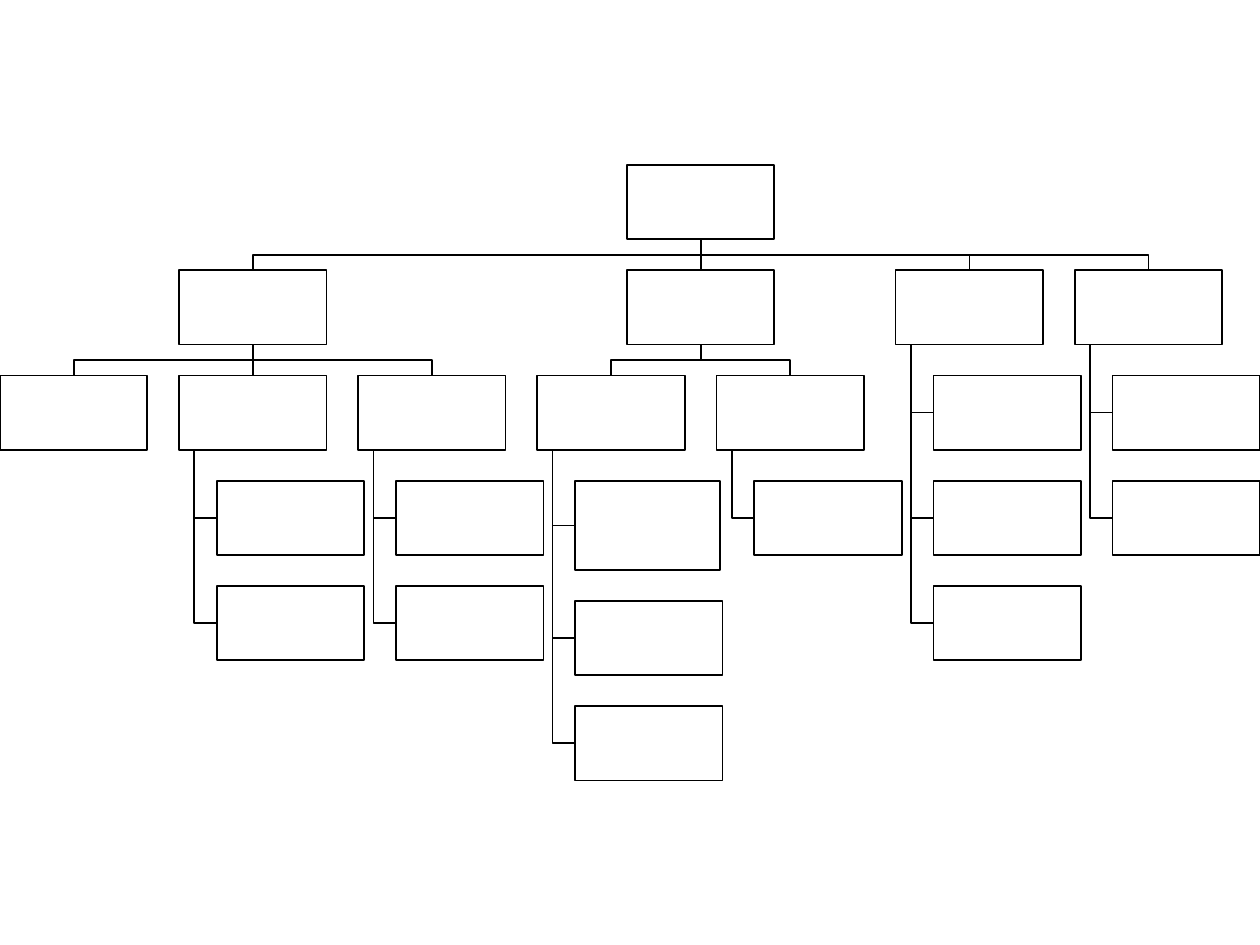
from dataclasses import dataclass

from lxml.etree import SubElement
from pptx import Presentation
from pptx.dml.color import RGBColor
from pptx.enum.shapes import MSO_CONNECTOR, MSO_SHAPE
from pptx.oxml.ns import qn
from pptx.util import Inches, Pt


@dataclass(frozen=True)
class Theme:
    fill: RGBColor = RGBColor(0xFF, 0xFF, 0xFF)
    line: RGBColor = RGBColor(0, 0, 0)
    line_width: Pt = Pt(1)


THEME = Theme()

# Content: a fork spreads its children in a row, a stack hangs boxes below
NORMAL = (1.17, 0.59)
TALL = (1.15, 0.71)


def fork(*children):
    return {"fork": children, "stack": ()}


def stack(*sizes):
    return {"fork": (), "stack": sizes}


CHART = fork(
    fork(stack(), stack(NORMAL, NORMAL), stack(NORMAL, NORMAL)),
    fork(stack(TALL, NORMAL, NORMAL), stack(NORMAL)),
    stack(NORMAL, NORMAL, NORMAL),
    stack(NORMAL, NORMAL),
)

# Grid
SLIDE_WIDTH, SLIDE_HEIGHT = 10, 7.5
COLUMNS = 7
BOX_WIDTH, BOX_HEIGHT = NORMAL
INDENT = 0.3
SPINE = 0.12
COLUMN_STEP = (SLIDE_WIDTH - BOX_WIDTH - INDENT) / (COLUMNS - 1)
FIRST_ROW, LAST_ROW = 1.31, 4.65
ROW_STEP = (LAST_ROW - FIRST_ROW) / 4
GAP = ROW_STEP - BOX_HEIGHT


def set_line(shape):
    shape.line.color.rgb = THEME.line
    shape.line.width = THEME.line_width


def add_box(page, left, top, size=NORMAL):
    box = page.shapes.add_shape(
        MSO_SHAPE.RECTANGLE, *(Inches(value) for value in (left, top, *size)))
    box.shadow.inherit = False
    box.fill.solid()
    box.fill.fore_color.rgb = THEME.fill
    set_line(box)
    return box


def add_elbow(page, *points):
    start, *rest = [(Inches(x), Inches(y)) for x, y in points]
    builder = page.shapes.build_freeform(*start)
    builder.add_line_segments(rest, close=False)
    elbow = builder.convert_to_shape()
    elbow.shadow.inherit = False
    elbow.fill.background()
    set_line(elbow)


def add_straight(page, upper, lower):
    link = page.shapes.add_connector(MSO_CONNECTOR.STRAIGHT, 0, 0, 0, 0)
    link.begin_connect(upper, 2)
    link.end_connect(lower, 0)
    set_line(link)
    SubElement(link._element.spPr, qn("a:effectLst"))


def place(node, first_column=0):
    """Set each column, centring a fork over its children; return the next free one."""
    if not node["fork"]:
        node["column"] = first_column
        return first_column + 1
    for child in node["fork"]:
        first_column = place(child, first_column)
    node["column"] = (node["fork"][0]["column"] + node["fork"][-1]["column"]) / 2
    return first_column


def draw(page, node, row=0):
    left = node["column"] * COLUMN_STEP
    top = FIRST_ROW + row * ROW_STEP
    bottom = top + BOX_HEIGHT
    center = left + BOX_WIDTH / 2
    box = add_box(page, left, top)

    # Children side by side
    for child in node["fork"]:
        child_box = draw(page, child, row + 1)
        if child["column"] == node["column"]:
            add_straight(page, box, child_box)
        else:
            child_center = child["column"] * COLUMN_STEP + BOX_WIDTH / 2
            middle = bottom + GAP / 2
            add_elbow(page, (center, bottom), (center, middle),
                      (child_center, middle), (child_center, bottom + GAP))

    # Boxes hanging from the spine
    item_top = bottom + GAP
    for size in node["stack"]:
        add_box(page, left + INDENT, item_top, size)
        middle = item_top + size[1] / 2
        add_elbow(page, (left + SPINE, bottom), (left + SPINE, middle),
                  (left + INDENT, middle))
        item_top += size[1] + GAP
    return box


def main():
    deck = Presentation()
    deck.slide_width, deck.slide_height = Inches(SLIDE_WIDTH), Inches(SLIDE_HEIGHT)
    page = deck.slides.add_slide(deck.slide_layouts[6])
    place(CHART)
    draw(page, CHART)
    deck.save("out.pptx")


if __name__ == "__main__":
    main()
